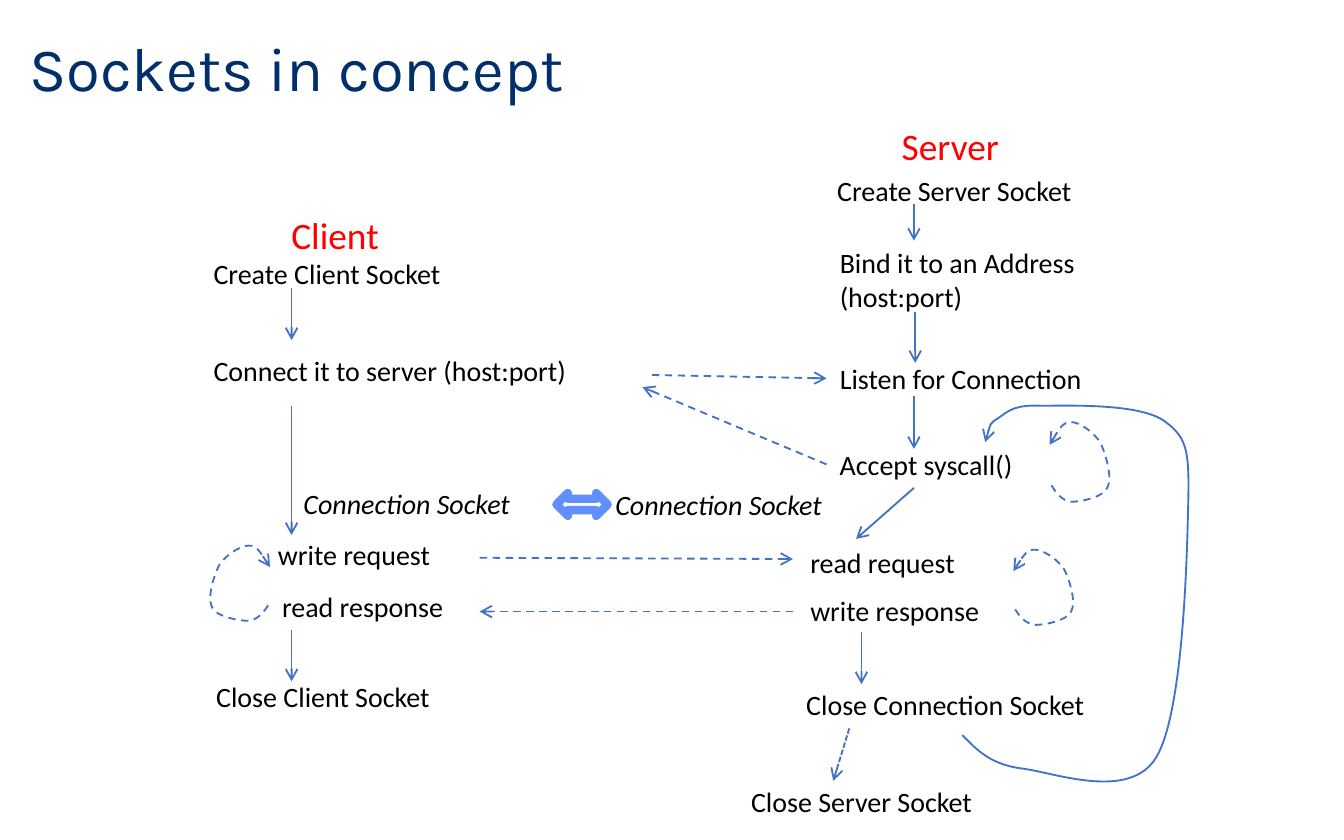
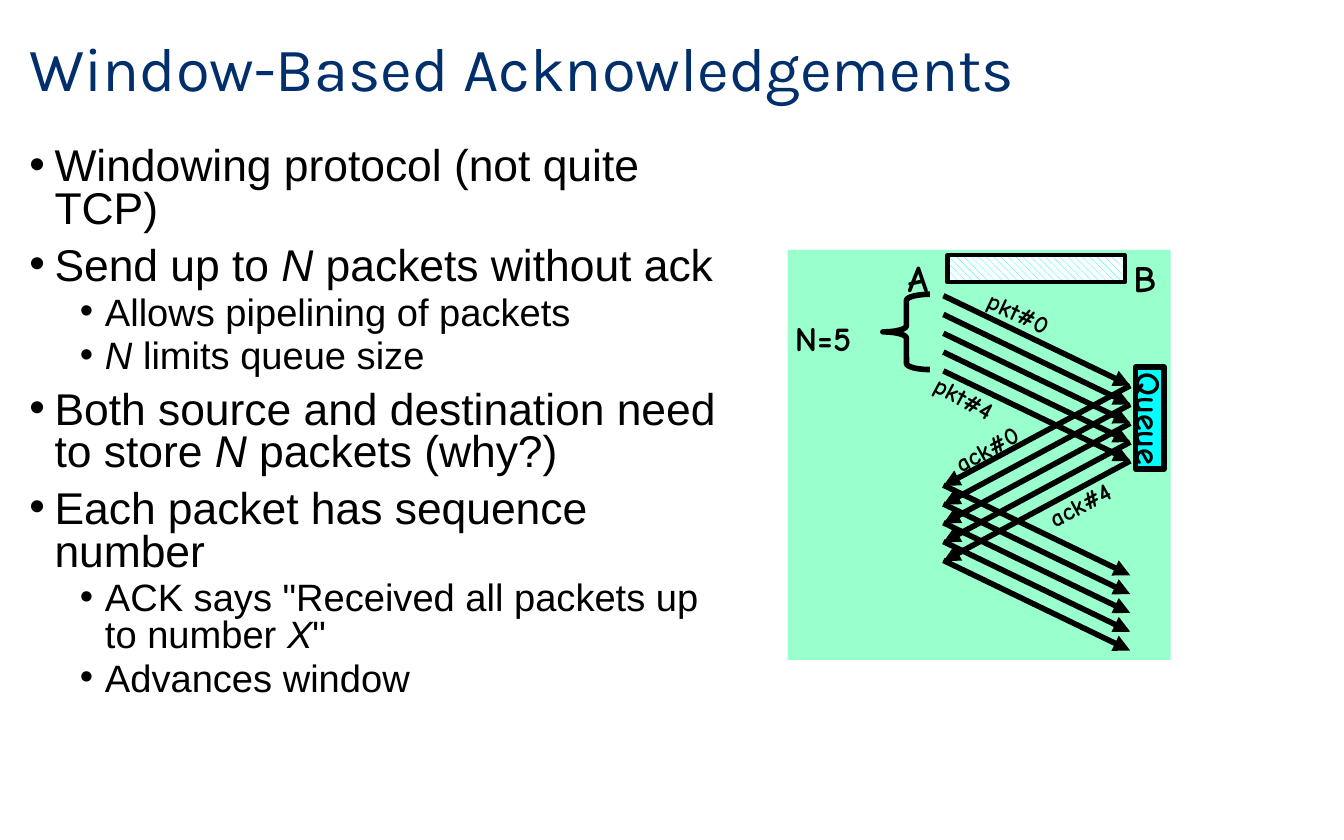
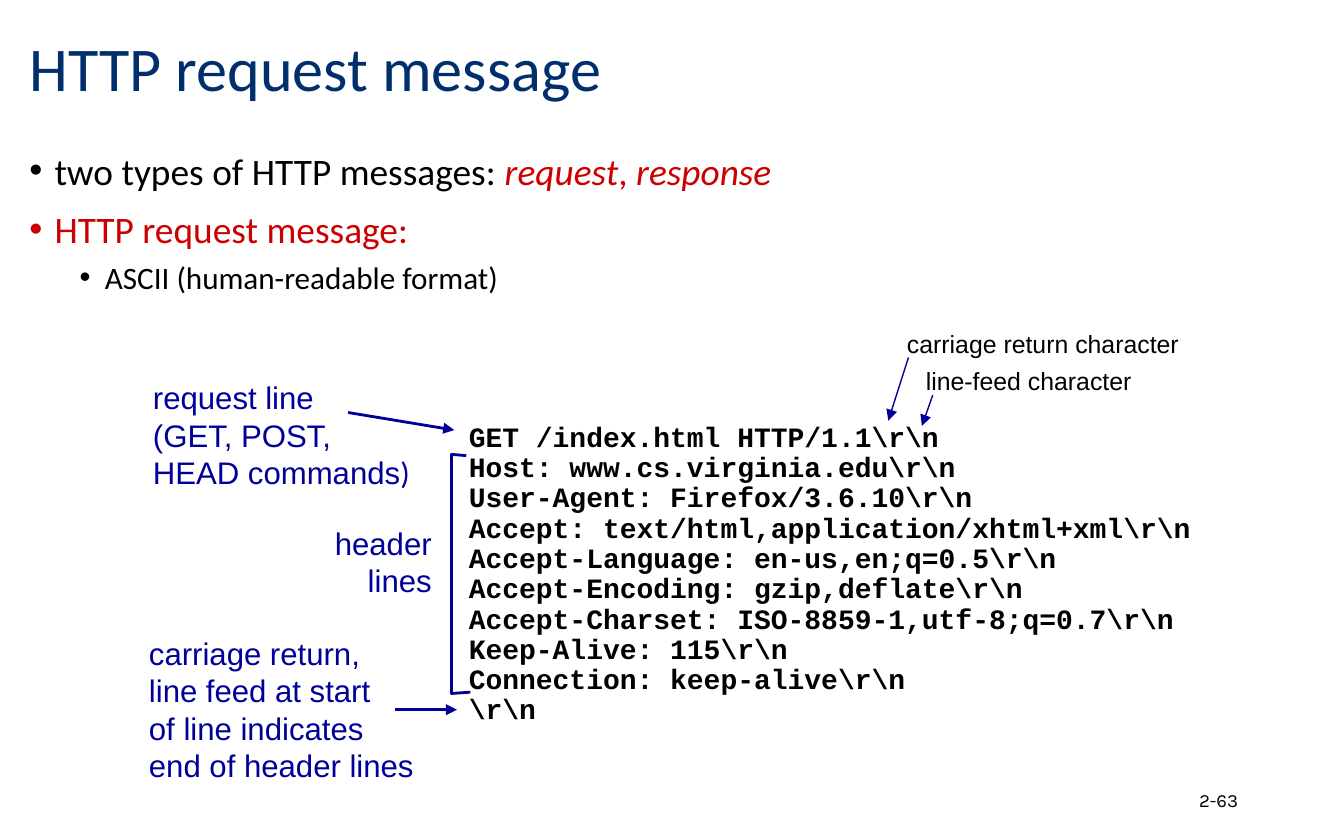
from lxml.etree import SubElement
from pptx import Presentation
from pptx.dml.color import RGBColor
from pptx.enum.dml import MSO_LINE, MSO_PATTERN
from pptx.enum.shapes import MSO_CONNECTOR, MSO_SHAPE
from pptx.enum.text import MSO_ANCHOR, MSO_AUTO_SIZE, PP_ALIGN
from pptx.oxml.ns import qn
from pptx.util import Pt

COLORS = {
    "title": "002F6C", "black": "000000", "white": "FFFFFF", "role": "FF0000",
    "flow": "4472C4", "link": "618FFD", "panel": "99FFCC", "queue": "00FFFF",
    "note": "000099", "emphasis": "CC0000",
}
ITALIC = {"italic": True}
RED = {"color": "emphasis"}
LOOP = [(1, 32), (3.6, 36), (6.5, 39.6), (11.5, 40.3), (16.6, 40.3), (28.8, 38.2),
        (31, 33.1), (33.8, 28.1), (30.2, 16.6), (27.4, 10.8), (23.8, 5),
        (15.8, 0), (11.5, 0), (7.2, 0), (3.6, 5.8), (0, 11.5)]
RETURN_PATH = [(515.5, 393.8), (523.4, 401.8), (530.6, 409.7), (547.9, 411.8),
               (565.2, 414), (604.8, 429.1), (619.2, 406.1), (633.6, 383),
               (635.8, 302.4), (636.5, 272.2), (637.2, 241.9), (636.5, 234.7),
               (623.5, 225.4), (609.8, 216), (572.4, 217.4), (558, 217.4),
               (543.6, 216.7), (540, 220.3), (535, 223.9), (529.9, 226.8),
               (529.2, 231.8), (527.8, 236.9)]


def rgb(name):
    """Return the named colour."""
    return RGBColor.from_string(COLORS[name])


def add_span(para, text, font="Arial", size=15, color="black", bold=False, italic=False):
    """Add formatted text to a paragraph."""
    span = para.add_run()
    span.text = text
    span.font.name = font
    span.font.size = Pt(size)
    span.font.bold = bold
    span.font.italic = italic
    span.font.color.rgb = rgb(color)


def fill_text(box, lines, align=PP_ALIGN.LEFT, spacing=1.0, **style):
    """Write lines, each a string or a list of (text, changes) spans."""
    for index, line in enumerate(lines):
        paras = box.text_frame.paragraphs
        para = box.text_frame.add_paragraph() if index else paras[0]
        para.alignment = align
        para.line_spacing = spacing
        for text, changes in [(line, {})] if isinstance(line, str) else line:
            add_span(para, text, **{**style, **changes})


def add_box(page, place, wrap=True, anchor=MSO_ANCHOR.TOP):
    """Add an empty text box at (left, top, width, height)."""
    box = page.shapes.add_textbox(*map(Pt, place))
    frame = box.text_frame
    frame.word_wrap = wrap
    frame.vertical_anchor = anchor
    frame.auto_size = MSO_AUTO_SIZE.NONE if wrap else MSO_AUTO_SIZE.SHAPE_TO_FIT_TEXT
    return box


def add_label(page, place, *lines, **style):
    """Add an unwrapped label that fits its text."""
    box = add_box(page, place, wrap=False)
    fill_text(box, lines, **style)
    return box


def add_title(page, text, font="Karla", size=33):
    """Add the slide title."""
    box = add_box(page, (8.64, 7.2, 613.4, 62), anchor=MSO_ANCHOR.MIDDLE)
    fill_text(box, [text], spacing=0.9, font=font, size=size, color="title")


def add_bullets(page, width, items, font, sizes, spacing=1.0):
    """Add a two-level bulleted body from (level, line) items."""
    box = add_box(page, (8.64, 75.6, width, 329.8))
    for index, (level, line) in enumerate(items):
        para = box.text_frame.add_paragraph() if index else box.text_frame.paragraphs[0]
        props = para._p.get_or_add_pPr()
        props.set("marL", str(Pt((13.5, 40.5)[level])))
        props.set("indent", str(Pt(-13.5)))
        props.set("lvl", str(level))
        SubElement(props, qn("a:buFont")).set("typeface", "Arial")
        SubElement(props, qn("a:buChar")).set("char", "•")
        para.line_spacing = spacing
        para.space_before = Pt((7.5, 3.8)[level] if index else 0)
        for text, changes in [(line, {})] if isinstance(line, str) else line:
            add_span(para, text, **{"font": font, "size": sizes[level], **changes})


def stroke(shape, color, width, dash=None, head=None):
    """Style a line, with an optional arrowhead and no shadow."""
    shape.line.color.rgb = rgb(color)
    shape.line.width = Pt(width)
    if dash:
        shape.line.dash_style = dash
    if head:
        SubElement(shape.line._get_or_add_ln(), qn("a:tailEnd")).set("type", head)
    SubElement(shape.element.spPr, qn("a:effectLst"))


def add_arrow(page, start, end, color="flow", width=1, dash=None, head="arrow"):
    """Add a straight arrow between two points."""
    arrow = page.shapes.add_connector(MSO_CONNECTOR.STRAIGHT, *map(Pt, start + end))
    stroke(arrow, color, width, dash, head)
    return arrow


def add_outline(page, points):
    """Add an open unfilled outline through the points."""
    start, *rest = [tuple(map(Pt, point)) for point in points]
    builder = page.shapes.build_freeform(*start)
    builder.add_line_segments(rest, close=False)
    outline = builder.convert_to_shape()
    outline.fill.background()
    return outline


def add_curve(page, points, dash=None):
    """Add a curved arrow through cubic control points."""
    curve = add_outline(page, points)
    trail = next(curve.element.iter(qn("a:path")))
    segments = trail.findall(qn("a:lnTo"))
    for first in range(0, len(segments), 3):
        bezier = SubElement(trail, qn("a:cubicBezTo"))
        for segment in segments[first:first + 3]:
            bezier.append(segment[0])
            trail.remove(segment)
    stroke(curve, "flow", 1, dash, "arrow")


def add_loop(page, left, top, stretch=1.0, mirror=False):
    """Add a dashed loop arrow, opening to the left unless mirrored."""
    points = [(left + (32.4 - x if mirror else x), top + y * stretch) for x, y in LOOP]
    add_curve(page, points, MSO_LINE.DASH)


def add_block(page, kind, place, fill=None, line=None, width=1):
    """Add a preset shape with optional fill and outline."""
    block = page.shapes.add_shape(kind, *map(Pt, place))
    block.shadow.inherit = False
    if fill:
        block.fill.solid()
        block.fill.fore_color.rgb = rgb(fill)
    else:
        block.fill.background()
    if line:
        block.line.color.rgb = rgb(line)
        block.line.width = Pt(width)
    else:
        block.line.fill.background()
    return block


def build_sockets(page):
    """Build the client and server socket flow."""
    add_title(page, "Sockets in concept")
    for text, left, top in [("Client", 149, 110.2), ("Server", 476, 62.6)]:
        add_label(page, (left, top, 67, 31.7), text, font="Calibri", size=20, color="role")
    steps = [
        ("Create Client Socket", 107.3, 133.9, 137.5),
        ("Connect it to server (host:port)", 107.3, 185.8, 205.2),
        ("write request", 141.8, 284.4, 97.2),
        ("read response", 144, 312.5, 101.5),
        ("Close Client Socket", 108.7, 360.7, 130.3),
        ("Create Server Socket", 441.4, 89.3, 141.1),
        ("Listen for Connection", 442.8, 190.1, 145.4),
        ("Accept syscall()", 442.8, 236.2, 108),
        ("read request", 427, 288.7, 92.9),
        ("write response", 427, 314.6, 105.8),
        ("Close Connection Socket", 424.8, 365, 164.9),
        ("Close Server Socket", 395.3, 416.9, 133.9),
    ]
    boxes = {text: add_label(page, (left, top, width, 25.2), text, font="Calibri")
             for text, left, top, width in steps}
    add_label(page, (442.8, 128.2, 144.7, 43.9), "Bind it to an Address", "(host:port)",
              font="Calibri")
    for left, top in [(155.5, 257), (322.6, 257.8)]:
        add_label(page, (left, top, 126.7, 25.2), "Connection Socket",
                  font="Calibri", italic=True)
    for x, top, bottom in [(156.2, 154.1, 182.2), (156.2, 217.4, 286.6),
                           (156.2, 337.7, 365), (489.6, 109.4, 128.9),
                           (490.3, 167, 194.4), (489.6, 212.4, 240.5),
                           (461.5, 338.4, 366.5)]:
        add_arrow(page, (x, top), (x, bottom))
    add_arrow(page, (489.6, 261.4), (458.6, 288.7))
    add_arrow(page, (455, 390.2), (446.4, 418.3), dash=MSO_LINE.SQUARE_DOT)
    add_arrow(page, (257, 298.8), (424.8, 299.5), dash=MSO_LINE.DASH)
    add_arrow(page, (424.8, 327.6), (257, 327.6), dash=MSO_LINE.DASH)
    connect = add_arrow(page, (349.2, 200.9), (442.8, 202.7), dash=MSO_LINE.DASH)
    connect.end_connect(boxes["Listen for Connection"], 1)
    accept = add_arrow(page, (442.8, 248.8), (344.2, 207.4), dash=MSO_LINE.DASH)
    accept.begin_connect(boxes["Accept syscall()"], 1)
    add_loop(page, 542.9, 294.5)
    add_loop(page, 112.3, 292.3, mirror=True)
    add_loop(page, 562.3, 226.1, stretch=1.06)
    add_curve(page, RETURN_PATH)
    add_block(page, MSO_SHAPE.LEFT_RIGHT_ARROW, (298.1, 264.2, 27.4, 12.2),
              "white", "link", 4.5)


def set_insets(box):
    """Give a box the diagram's narrow insets."""
    frame = box.text_frame
    frame.margin_left = frame.margin_right = Pt(6)
    frame.margin_top = frame.margin_bottom = Pt(3)


def add_packets(page, left_to_right, start, end):
    """Add five parallel arrows between hosts A and B."""
    xs = (505.4, 605.5) if left_to_right else (605.5, 505.4)
    for index in range(5):
        shift = index * 10.08
        add_arrow(page, (xs[0], start + shift), (xs[1], end + shift), "black", 3,
                  head="triangle")


def build_window(page):
    """Build the sliding window slide."""
    add_title(page, "Window-Based Acknowledgements")
    add_bullets(page, 394.6, [
        (0, "Windowing protocol (not quite TCP)"),
        (0, [("Send up to ", {}), ("N", ITALIC), (" packets without ack", {})]),
        (1, "Allows pipelining of packets"),
        (1, [("N", ITALIC), (" limits queue size", {})]),
        (0, [("Both source and destination need to store ", {}), ("N", ITALIC),
             (" packets (why?)", {})]),
        (0, "Each packet has sequence number"),
        (1, [('ACK says "Received all packets up to number ', {}), ("X", ITALIC), ('"', {})]),
        (1, "Advances window"),
    ], "Arial", (23.8, 20.4), 0.8)
    add_block(page, MSO_SHAPE.RECTANGLE, (421.9, 133.9, 205.2, 219.6), "panel")
    window = add_block(page, MSO_SHAPE.RECTANGLE, (507.6, 136.8, 95, 14.4),
                       line="black", width=2.25)
    window.fill.patterned()
    window.fill.pattern = MSO_PATTERN.WIDE_DOWNWARD_DIAGONAL
    window.fill.fore_color.rgb = rgb("queue")
    window.fill.back_color.rgb = rgb("white")
    add_packets(page, True, 158.4, 206.6)
    add_packets(page, True, 259.9, 308.2)
    brace = add_block(page, MSO_SHAPE.LEFT_BRACE, (473, 157.7, 25.2, 40.3),
                      line="black", width=3)
    brace.adjustments[0] = 0.13
    queue = add_block(page, MSO_SHAPE.RECTANGLE, (608.4, 196.6, 15.1, 54.7),
                      "queue", "black", 3)
    set_insets(queue)
    queue.text_frame.word_wrap = False
    queue.text_frame.vertical_anchor = MSO_ANCHOR.MIDDLE
    queue.element.txBody.bodyPr.set("vert", "eaVert")
    fill_text(queue, ["Queue"], font="Comic Neue", size=18.3, bold=True)
    add_packets(page, False, 206.6, 260.3)
    for text, place, size, turn in [
        ("A", (480.2, 133.9, 26.6, 30.2), 20, 0),
        ("B", (601.2, 133.9, 24.5, 30.2), 20, 0),
        ("N=5", (419.8, 167, 49.7, 28.1), 18.3, 0),
        ("ack#0", (504, 228.2, 53.3, 22.3), 13.3, 331.1),
        ("ack#4", (554.4, 257.8, 53.3, 22.3), 13.3, 331.7),
        ("pkt#0", (522, 157.7, 52.6, 22.3), 13.3, 25),
        ("pkt#4", (493.2, 203.8, 52.6, 22.3), 13.3, 28.2),
    ]:
        label = add_label(page, place, text, font="Comic Neue", size=size, bold=True)
        set_insets(label)
        label.rotation = turn


def build_request(page):
    """Build the HTTP request slide."""
    add_title(page, "HTTP request message", "Calibri", 33.3)
    add_bullets(page, 703.4, [
        (0, [("two types of HTTP messages: ", {}), ("request", {**RED, **ITALIC}),
             (", ", RED), ("response", {**RED, **ITALIC})]),
        (0, [("HTTP request message:", RED)]),
        (1, "ASCII (human-readable format)"),
    ], "Calibri", (20, 16.7))
    number = add_box(page, (508.3, 416.9, 162, 23.8), anchor=MSO_ANCHOR.MIDDLE)
    fill_text(number, ["2-63"], PP_ALIGN.RIGHT, font="Karla", size=10)
    note = {"size": 16.7, "color": "note"}
    add_label(page, (74.9, 199.4, 153.4, 67.7), "request line", "(GET, POST,",
              [("HEAD commands", {}), (")", {"font": "Calibri"})], **note)
    add_label(page, (171.4, 277.2, 67, 47.5), "header", "lines",
              align=PP_ALIGN.RIGHT, **note)
    add_label(page, (72.7, 336.2, 157.7, 87.8), "carriage return,", "line feed at start",
              "of line indicates", "end of header lines", **note)
    add_label(page, (244.1, 223.2, 405.4, 171.4),
              r"GET /index.html HTTP/1.1\r\n",
              r"Host: www.cs.virginia.edu\r\n",
              r"User-Agent: Firefox/3.6.10\r\n",
              r"Accept: text/html,application/xhtml+xml\r\n",
              r"Accept-Language: en-us,en;q=0.5\r\n",
              r"Accept-Encoding: gzip,deflate\r\n",
              r"Accept-Charset: ISO-8859-1,utf-8;q=0.7\r\n",
              r"Keep-Alive: 115\r\n",
              r"Connection: keep-alive\r\n",
              r"\r\n",
              spacing=0.9, font="Courier New", bold=True)
    add_label(page, (478.8, 172.8, 162, 23.8), "carriage return character", size=13.3)
    add_label(page, (488.9, 192.2, 126, 23.8), "line-feed character", size=13.3)
    bracket = add_outline(page, [(249.8, 244.1), (241.9, 243.4), (241.9, 371.5), (252, 370.8)])
    stroke(bracket, "note", 1.5)
    for start, end, width in [((186.5, 221), (243.4, 230.4), 1.5),
                              ((211.7, 380.2), (244.8, 380.2), 1.5),
                              ((486.7, 191.5), (475.9, 225.4), 0.75),
                              ((499.7, 211.7), (493.9, 228.2), 0.75)]:
        add_arrow(page, start, end, "note", width, head="triangle")


def main():
    """Build and save the deck."""
    deck = Presentation()
    deck.slide_width, deck.slide_height = Pt(720), Pt(450)
    for build in (build_sockets, build_window, build_request):
        build(deck.slides.add_slide(deck.slide_layouts[6]))
    deck.save("out.pptx")


if __name__ == "__main__":
    main()
